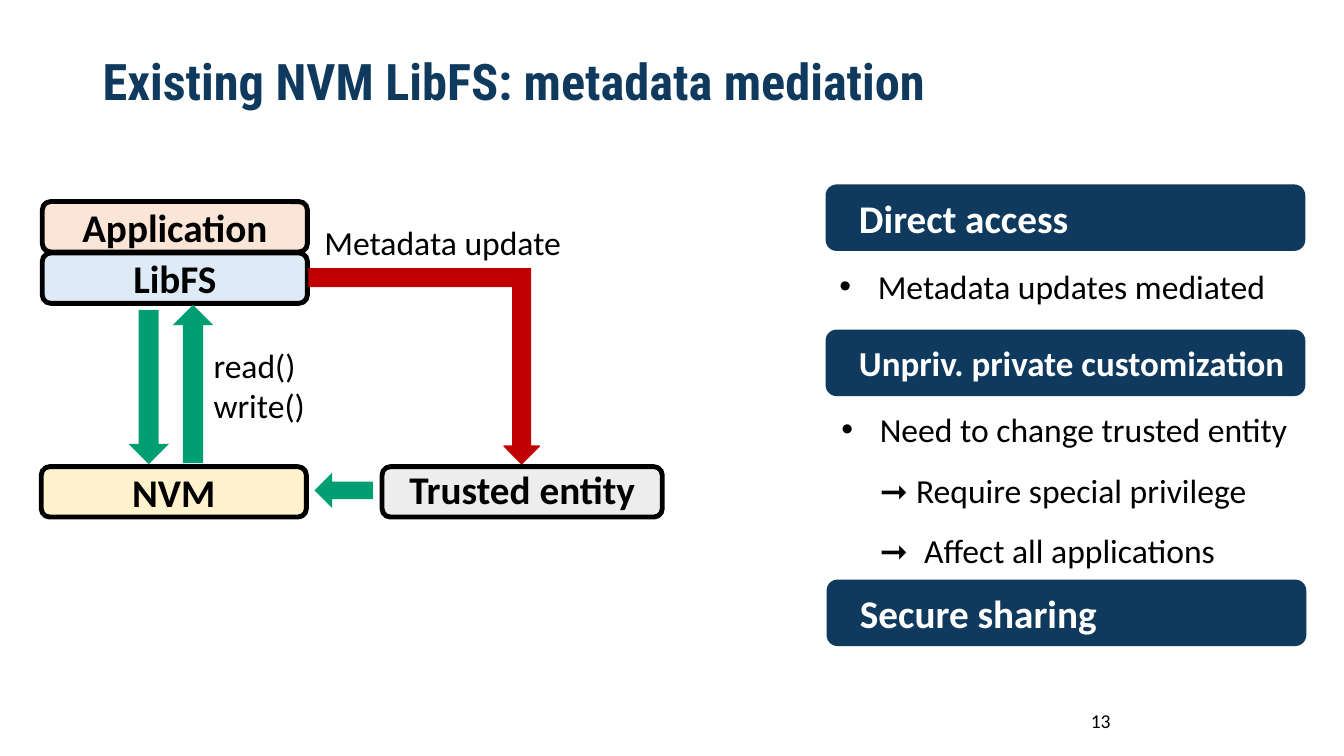
"""Build the slide on metadata mediation in existing NVM LibFS designs."""
from dataclasses import dataclass
from typing import Optional, Union

from lxml.etree import SubElement
from pptx import Presentation
from pptx.dml.color import RGBColor
from pptx.enum.shapes import MSO_SHAPE as Preset
from pptx.enum.text import MSO_ANCHOR as Anchor, PP_ALIGN as Align
from pptx.oxml.ns import qn
from pptx.util import Inches, Length, Pt


@dataclass(frozen=True)
class Theme:
    body_font: str = "Calibri"
    title_font: str = "Roboto Condensed"
    navy: str = "0F3A5D"
    green: str = "009E73"
    red: str = "C00000"
    black: str = "000000"
    white: str = "FFFFFF"
    peach: str = "FBE5D6"
    sky: str = "DEEBF7"
    cream: str = "FFF2CC"
    grey: str = "EDEDED"
    title_size: float = 36
    heading_size: float = 28
    long_heading_size: float = 25
    body_size: float = 24
    number_size: float = 14
    outline: float = 3.5


THEME = Theme()
COLUMNS, ROWS = 133.33, 75
CELL = 0.1
BULLET_INDENT = 3.8


@dataclass(frozen=True)
class Area:
    """A place on the slide in columns and rows."""
    left: float
    top: float
    width: float
    height: float


@dataclass(frozen=True)
class Style:
    """How the text of one box looks."""
    size: float = THEME.body_size
    color: str = THEME.black
    bold: bool = False
    font: str = THEME.body_font
    align: Align = Align.LEFT
    anchor: Anchor = Anchor.TOP
    spacing: Optional[Union[float, Length]] = None
    inset: float = 1


@dataclass(frozen=True)
class Line:
    """One paragraph with its hanging indent in columns."""
    text: str
    margin: float = 0
    hanging: float = 0
    bullet: str = ""


@dataclass(frozen=True)
class Node:
    text: str
    area: Area
    fill: str
    spacing: Optional[Length] = None


@dataclass(frozen=True)
class Block:
    preset: Preset
    area: Area
    fill: str
    outline: float = 0


@dataclass(frozen=True)
class Heading:
    text: str
    left: float
    top: float
    size: float = THEME.heading_size


@dataclass(frozen=True)
class Label:
    lines: tuple[Line, ...]
    area: Area
    style: Style = Style()


NODES = (
    Node("Application", Area(4.2, 20, 26.3, 5), THEME.peach),
    Node("LibFS", Area(4.2, 25.1, 26.3, 5), THEME.sky),
    Node("NVM", Area(4.1, 46.3, 26.3, 5), THEME.cream),
    Node("Trusted entity", Area(37.9, 46.3, 27.8, 5), THEME.grey, Pt(28.6)),
)
FLOWS = (
    Block(Preset.DOWN_ARROW, Area(12.75, 30.75, 4, 15.3), THEME.green),
    Block(Preset.UP_ARROW, Area(17.15, 30.25, 4, 15.7), THEME.green),
    Block(Preset.DOWN_ARROW, Area(50, 28.5, 3.5, 17.5), THEME.red, 1),
    Block(Preset.RECTANGLE, Area(30.6, 26.6, 22.1, 1.9), THEME.red),
    Block(Preset.LEFT_ARROW, Area(31.2, 46.9, 5.8, 3.5), THEME.green),
)
HEADINGS = (
    Heading("Direct access", 81.9, 18.3),
    Heading("Unpriv. private customization", 81.9, 32.7, THEME.long_heading_size),
    Heading("Secure sharing", 82, 57.5),
)
TITLE = Style(THEME.title_size, THEME.navy, True, THEME.title_font,
              anchor=Anchor.MIDDLE, spacing=0.9)
NUMBER = Style(THEME.number_size, align=Align.CENTER, anchor=Anchor.MIDDLE)
POINTS = Style(spacing=1.5)
LABELS = (
    Label((Line("Existing NVM LibFS: metadata mediation"),),
          Area(9.2, 4, 120.4, 8.7), TITLE),
    Label((Line("13"),), Area(94.2, 69.5, 30, 4), NUMBER),
    Label((Line("read()"), Line("write()")), Area(20.2, 33.7, 11.7, 9.9)),
    Label((Line("Metadata update"),), Area(31.2, 21.5, 26.3, 4.9)),
    Label((Line("Metadata updates mediated", BULLET_INDENT, BULLET_INDENT, "•"),),
          Area(82.3, 23.9, 50.7, 7.5), POINTS),
    Label((Line("Need to change trusted entity", BULLET_INDENT, BULLET_INDENT, "•"),
           Line("➞\tRequire special privilege", 7.4, 7.4 - BULLET_INDENT),
           Line("➞\tAffect all applications", 8.2, 8.2 - BULLET_INDENT)),
          Area(82.5, 38.1, 47.7, 18), POINTS),
)


def cells(count: float) -> Length:
    """Turn a number of grid cells into a length."""
    return Inches(count * CELL)


def place(area: Area) -> tuple[Length, ...]:
    """Give the position and size of an area."""
    return tuple(map(cells, (area.left, area.top, area.width, area.height)))


def write(shape, lines: tuple[Line, ...], style: Style) -> None:
    """Fill a shape with paragraphs in one style."""
    frame = shape.text_frame
    frame.word_wrap = True
    frame.vertical_anchor = style.anchor
    frame.margin_left = cells(style.inset)
    for index, line in enumerate(lines):
        paragraph = frame.add_paragraph() if index else frame.paragraphs[0]
        paragraph.text = line.text
        paragraph.alignment = style.align
        paragraph.line_spacing = style.spacing
        properties = paragraph._p.get_or_add_pPr()
        if line.hanging:
            properties.set("marL", str(cells(line.margin)))
            properties.set("indent", str(-cells(line.hanging)))
        if line.bullet:
            SubElement(properties, qn("a:buFont"), typeface="Arial")
            SubElement(properties, qn("a:buChar"), char=line.bullet)
        font = paragraph.font
        font.name, font.size, font.bold = style.font, Pt(style.size), style.bold
        font.color.rgb = RGBColor.from_string(style.color)


def draw_block(slide, block: Block, outline_color: str):
    """Draw a filled preset shape and return it."""
    shape = slide.shapes.add_shape(block.preset, *place(block.area))
    shape.shadow.inherit = False
    shape.fill.solid()
    shape.fill.fore_color.rgb = RGBColor.from_string(block.fill)
    if block.outline:
        shape.line.color.rgb = RGBColor.from_string(outline_color)
        shape.line.width = Pt(block.outline)
    else:
        shape.line.fill.background()
    return shape


def main() -> None:
    """Assemble and save the slide."""
    presentation = Presentation()
    presentation.slide_width, presentation.slide_height = cells(COLUMNS), cells(ROWS)
    slide = presentation.slides.add_slide(presentation.slide_layouts[6])
    for node in NODES:
        block = Block(Preset.ROUNDED_RECTANGLE, node.area, node.fill, THEME.outline)
        style = Style(THEME.heading_size, bold=True, align=Align.CENTER,
                      anchor=Anchor.MIDDLE, spacing=node.spacing)
        write(draw_block(slide, block, THEME.black), (Line(node.text),), style)
    for flow in FLOWS:
        draw_block(slide, flow, flow.fill)
    for heading in HEADINGS:
        area = Area(heading.left, heading.top, 47.6, 6.6)
        block = Block(Preset.ROUNDED_RECTANGLE, area, THEME.navy)
        style = Style(heading.size, THEME.white, True, anchor=Anchor.MIDDLE, inset=3)
        write(draw_block(slide, block, THEME.navy), (Line(heading.text),), style)
    for label in LABELS:
        write(slide.shapes.add_textbox(*place(label.area)), label.lines, label.style)
    presentation.save("out.pptx")


if __name__ == "__main__":
    main()
